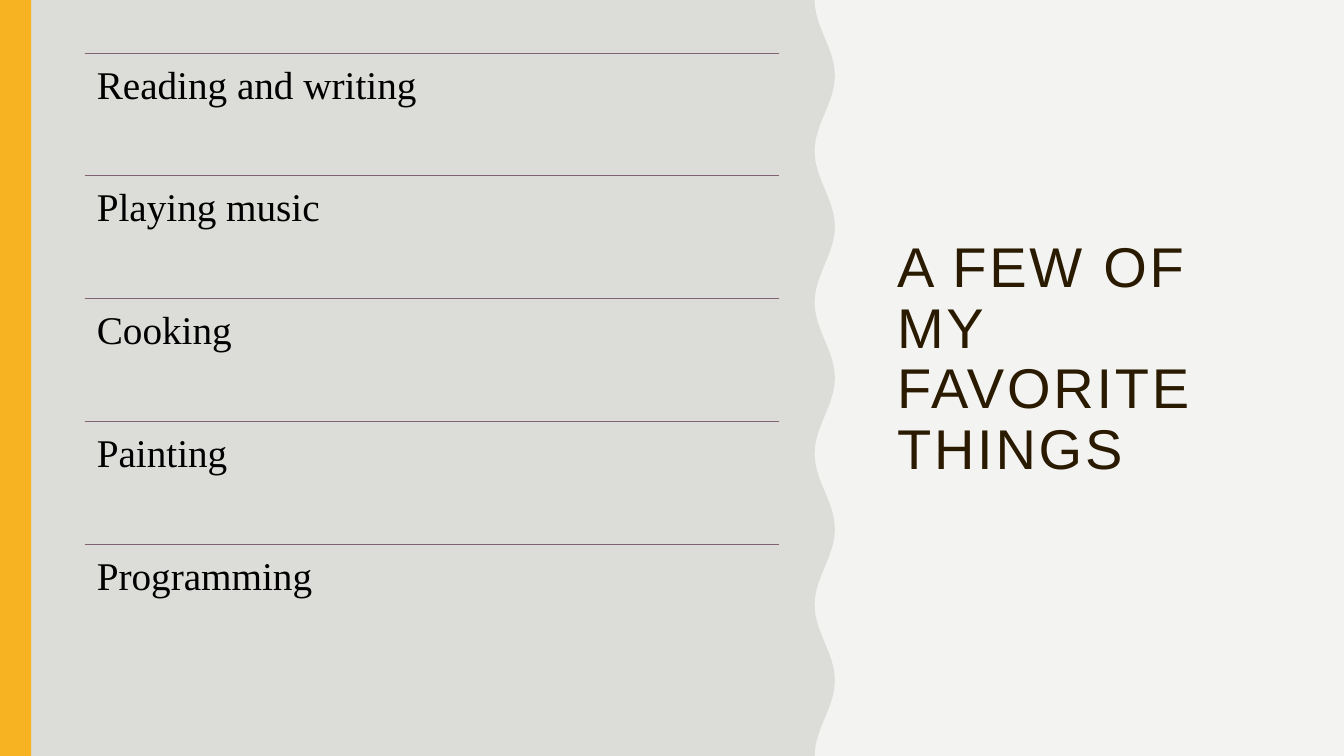
from math import cos, pi

from lxml import etree
from pptx import Presentation
from pptx.dml.color import RGBColor
from pptx.enum.shapes import MSO_CONNECTOR, MSO_SHAPE
from pptx.enum.text import MSO_ANCHOR
from pptx.oxml.ns import qn
from pptx.util import Pt

RECT = MSO_SHAPE.RECTANGLE
LINE = MSO_CONNECTOR.STRAIGHT
TOP, MIDDLE = MSO_ANCHOR.TOP, MSO_ANCHOR.MIDDLE

PX = 9144  # 100 px to the inch
WIDE, HIGH = 1333, 750
COLORS = {
    "back": "F3F3F2",
    "panel": "DCDCD9",
    "band": "F8B323",
    "title": "2A1A00",
    "rule": "826276",
    "text": "000000",
}
THINGS = ["Reading and writing", "Playing music", "Cooking", "Painting", "Programming"]
LIST_LEFT, LIST_TOP, LIST_WIDE, LIST_HIGH = 84, 53, 689, 609


def px(*sizes):
    return [round(size * PX) for size in sizes]


def color(name):
    return RGBColor.from_string(COLORS[name])


def paint(shape, name):
    shape.shadow.inherit = False
    shape.fill.solid()
    shape.fill.fore_color.rgb = color(name)
    shape.line.fill.background()


def add_band(slide, left, top, wide, high):
    paint(slide.shapes.add_shape(RECT, *px(left, top, wide, high)), "band")


def add_wave(slide, mid, swing, period, step):
    """Add a panel whose right edge is a cosine wave down the slide."""
    edge = [
        px(mid - swing * cos(2 * pi * y / period), y)
        for y in range(0, HIGH + 1, step)
    ]
    form = slide.shapes.build_freeform(0, 0)
    form.add_line_segments(edge + [px(0, HIGH)], close=True)
    paint(form.convert_to_shape(), "panel")


def add_rule(slide, left, top, wide):
    rule = slide.shapes.add_connector(LINE, *px(left, top, left + wide, top))
    rule.line.color.rgb = color("rule")
    rule.line.width = Pt(0.5)
    etree.SubElement(rule._element.spPr, qn("a:effectLst"))


def add_text(slide, text, box, font, size, name, inset, anchor=TOP):
    frame = slide.shapes.add_textbox(*px(*box)).text_frame
    frame.word_wrap = True
    frame.vertical_anchor = anchor
    frame.margin_left, frame.margin_top, frame.margin_right, frame.margin_bottom = px(*inset)
    frame.text = text
    para = frame.paragraphs[0]
    para.line_spacing = 0.9
    run = para.runs[0]
    run.font.name = font
    run.font.size = Pt(size)
    run.font.color.rgb = color(name)
    return run


def add_list(slide):
    count = len(THINGS)
    for i, thing in enumerate(THINGS):
        top = LIST_TOP + i * LIST_HIGH // count
        add_rule(slide, LIST_LEFT, top, LIST_WIDE)
        box = (LIST_LEFT, top, LIST_WIDE, LIST_HIGH // count)
        add_text(slide, thing, box, "Times New Roman", 28, "text", (12, 12, 12, 12))


def main():
    deck = Presentation()
    deck.slide_width, deck.slide_height = px(WIDE, HIGH)
    slide = deck.slides.add_slide(deck.slide_layouts[6])
    slide.background.fill.solid()
    slide.background.fill.fore_color.rgb = color("back")

    add_wave(slide, mid=818, swing=10, period=150, step=5)
    add_band(slide, 0, 0, 31, HIGH)
    title = add_text(slide, "A FEW OF MY FAVORITE THINGS", (880, 53, 400, 609),
                     "Arial", 40, "title", (10, 5, 10, 5), MIDDLE)
    title._r.get_or_add_rPr().set("spc", "200")
    add_list(slide)
    deck.save("out.pptx")


if __name__ == "__main__":
    main()
